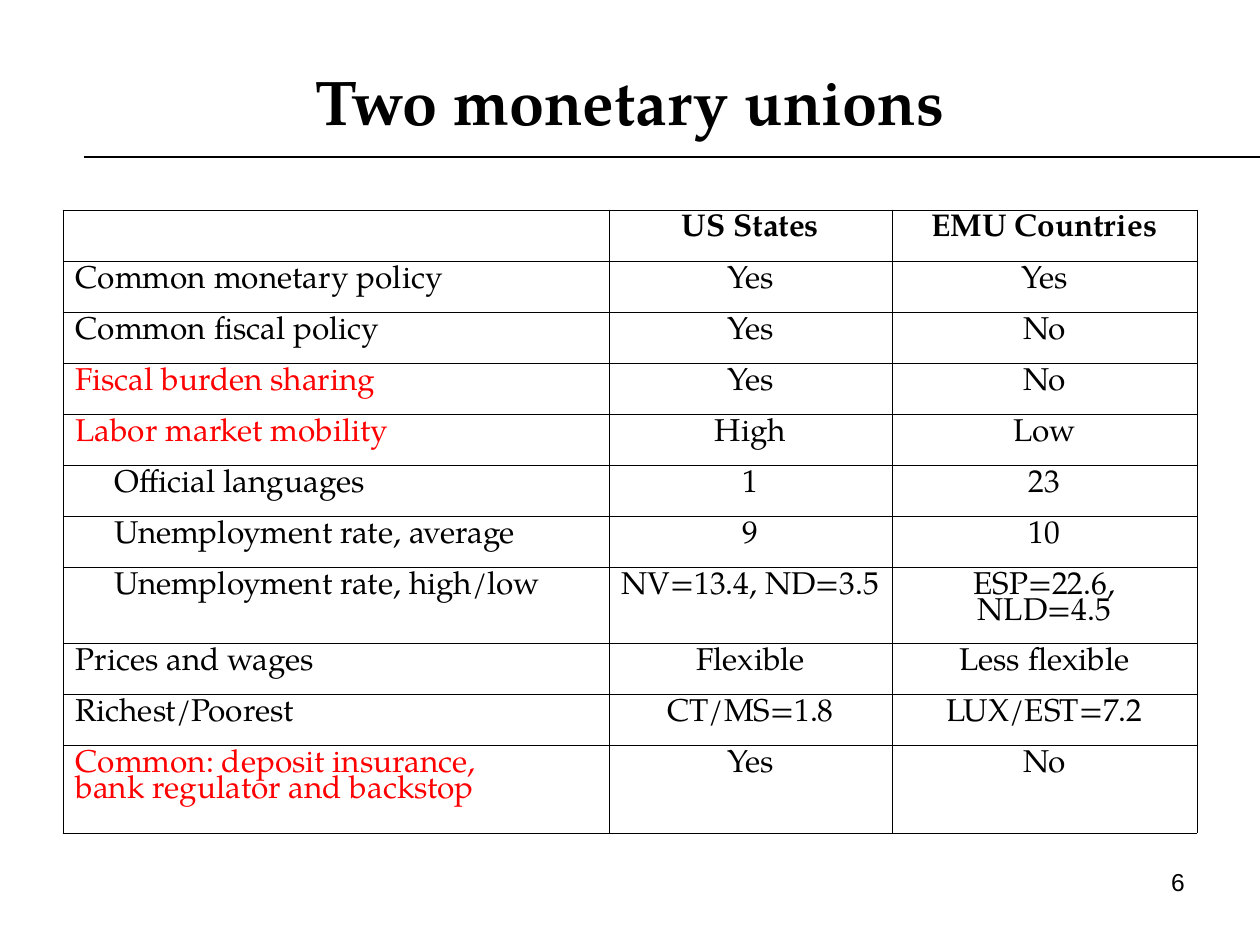
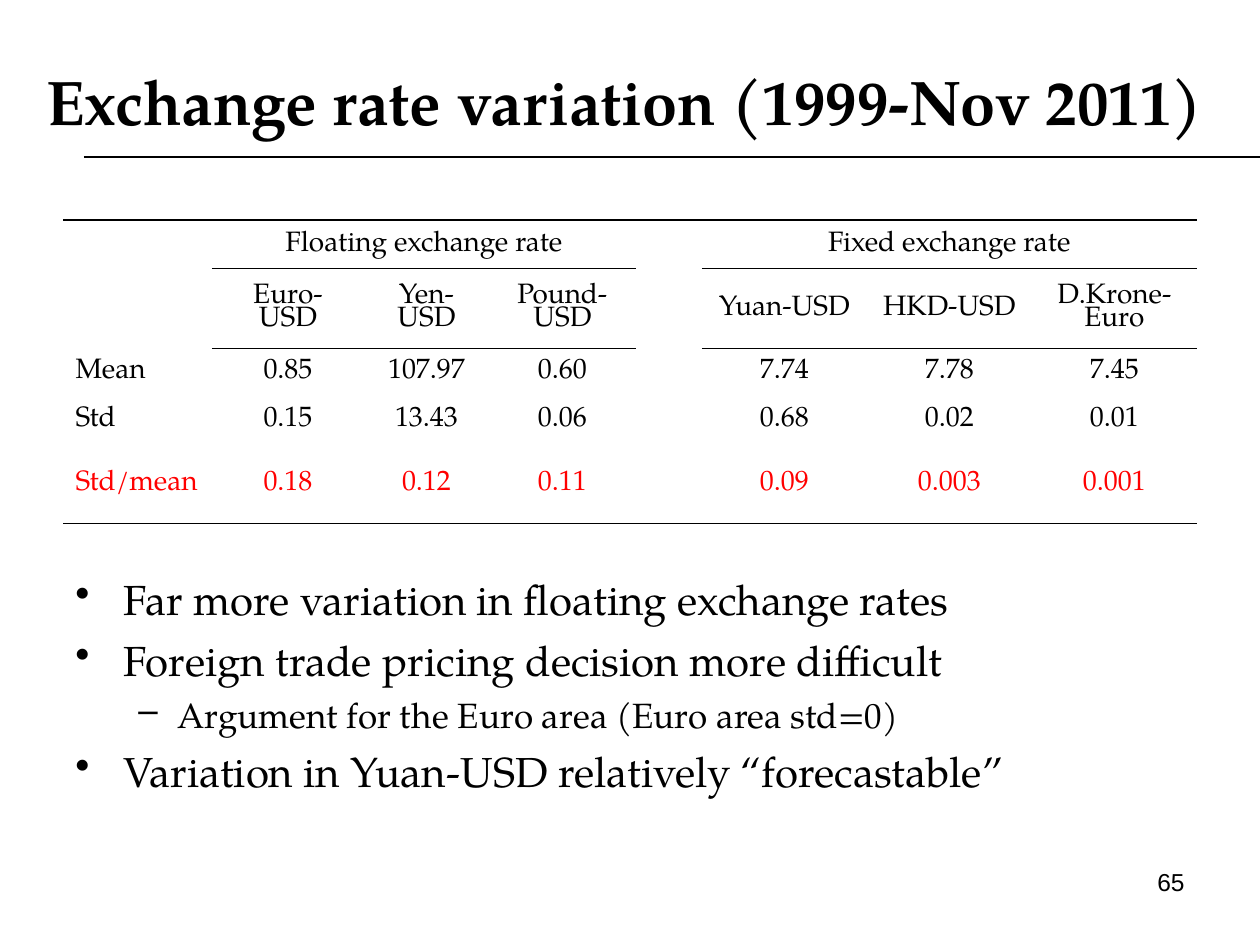
from lxml.etree import SubElement
from pptx import Presentation
from pptx.dml.color import RGBColor
from pptx.enum.shapes import MSO_CONNECTOR
from pptx.enum.text import MSO_ANCHOR, PP_ALIGN
from pptx.oxml.ns import qn
from pptx.util import Pt

PX = 7257.14  # EMU in one px, 126 px to the inch
SERIF, SANS = "TeX Gyre Pagella", "Arial"
COLORS = {"ink": "000000", "key": "FF0000"}
NO_STYLE = "{2D5ABB26-0587-4C30-8999-92F81FD0307C}"
THIN, RULE = 0.45, 0.75


def style_text(tf, text, size, color="ink", font=SERIF, bold=False,
               align=PP_ALIGN.CENTER, spacing=None):
    tf.word_wrap = True
    tf.text = text
    for p in tf.paragraphs:
        p.alignment = align
        p.line_spacing = spacing
        for r in p.runs:
            r.font.size, r.font.name, r.font.bold = Pt(size), font, bold
            r.font.color.rgb = RGBColor.from_string(COLORS[color])


def add_grid(s, top, widths, heights, rows, key_cells, size, anchor, borders):
    """Table whose borders(row, col) gives the line width of each ruled side."""
    frame = s.shapes.add_table(len(heights), len(widths), round(63 * PX), round(top * PX),
                               round(sum(widths) * PX), round(sum(heights) * PX))
    table = frame.table
    table.first_row = table.horz_banding = False
    table._tbl.tblPr.find(qn("a:tableStyleId")).text = NO_STYLE
    for column, width in zip(table.columns, widths):
        column.width = round(width * PX)
    for row, height in zip(table.rows, heights):
        row.height = round(height * PX)
    for i, row in enumerate(rows):
        for j, text in enumerate(row):
            cell = table.cell(i, j)
            cell.vertical_anchor = anchor
            if text:
                style_text(cell.text_frame, text, size, spacing=0.83,
                           color="key" if (i, j) in key_cells else "ink",
                           align=PP_ALIGN.CENTER if j else PP_ALIGN.LEFT)
            else:
                cell.margin_top = cell.margin_bottom = 0
            sides = borders(i, j)
            for side in "LRTB":
                ln = SubElement(cell._tc.get_or_add_tcPr(), qn(f"a:ln{side}"))
                if side in sides:
                    ln.set("w", str(Pt(sides[side])))
                    fill = SubElement(ln, qn("a:solidFill"))
                    SubElement(fill, qn("a:srgbClr")).set("val", COLORS["ink"])
                else:
                    SubElement(ln, qn("a:noFill"))
            cell.fill.background()
    return table


prs = Presentation()
prs.slide_width, prs.slide_height = round(1260 * PX), round(945 * PX)

# Shared parts: rule, title and page number
pages = [("Two monetary unions", 63, 1134, "6"),
         ("Exchange rate variation (1999-Nov 2011)", 21, 1207, "65")]
for title, left, width, number in pages:
    s = prs.slides.add_slide(prs.slide_layouts[6])
    rule = s.shapes.add_connector(MSO_CONNECTOR.STRAIGHT, round(84 * PX), round(157 * PX),
                                  round(1260 * PX), round(157 * PX))
    rule.line.width = Pt(RULE)
    rule.line.color.rgb = RGBColor.from_string(COLORS["ink"])
    SubElement(rule._element.spPr, qn("a:effectLst"))
    sp = s.shapes.add_textbox(round(left * PX), round(42 * PX), round(width * PX), round(116 * PX))
    sp.text_frame.vertical_anchor = MSO_ANCHOR.MIDDLE
    style_text(sp.text_frame, title, 36, bold=True)
    sp = s.shapes.add_textbox(round(903 * PX), round(861 * PX), round(294 * PX), round(65 * PX))
    style_text(sp.text_frame, number, 14, font=SANS, align=PP_ALIGN.RIGHT)
unions, rates = prs.slides

# Slide 1: comparison of the two unions
union_rows = [
    ("", "US States", "EMU Countries"),
    ("Common monetary policy", "Yes", "Yes"),
    ("Common fiscal policy", "Yes", "No"),
    ("Fiscal burden sharing", "Yes", "No"),
    ("Labor market mobility", "High", "Low"),
    ("Official languages", "1", "23"),
    ("Unemployment rate, average", "9", "10"),
    ("Unemployment rate, high/low", "NV=13.4, ND=3.5", "ESP=22.6, NLD=4.5"),
    ("Prices and wages", "Flexible", "Less flexible"),
    ("Richest/Poorest", "CT/MS=1.8", "LUX/EST=7.2"),
    ("Common: deposit insurance,\nbank regulator and backstop", "Yes", "No"),
]
table = add_grid(unions, 210, [546, 283, 305], [51] * 7 + [76, 51, 51, 88], union_rows,
                 {(3, 0), (4, 0), (10, 0)}, 18, MSO_ANCHOR.TOP,
                 lambda i, j: dict.fromkeys("LRTB", THIN))
for j in (1, 2):
    table.cell(0, j).text_frame.paragraphs[0].runs[0].font.bold = True
for i in (5, 6, 7):  # details of labor mobility
    table.cell(i, 0).margin_left = round(52 * PX)

# Slide 2: exchange rate statistics
rate_rows = [
    ("", "Floating exchange rate", "", "", "", "Fixed exchange rate", "", ""),
    ("", "Euro-USD", "Yen-USD", "Pound- USD", "", "Yuan-USD", "HKD-USD", "D.Krone-Euro"),
    ("Mean", "0.85", "107.97", "0.60", "", "7.74", "7.78", "7.45"),
    ("Std", "0.15", "13.43", "0.06", "", "0.68", "0.02", "0.01"),
    ("Std/mean", "0.18", "0.12", "0.11", "", "0.09", "0.003", "0.001"),
]


def rate_borders(i, j):
    sides = {}
    if j not in (0, 4):  # the label and gap columns have no inner rules
        if i in (1, 2):
            sides["T"] = THIN
        if i in (0, 1):
            sides["B"] = THIN
    if i == 0:
        sides["T"] = RULE
    if i == 4:
        sides["B"] = RULE
    return sides


table = add_grid(rates, 220, [149, 152, 125, 147, 66, 165, 165, 165], [48, 80, 48, 47, 81],
                 rate_rows, {(4, j) for j in range(8)}, 16, MSO_ANCHOR.MIDDLE, rate_borders)
for j in (1, 5):
    table.cell(0, j).merge(table.cell(0, j + 2))

# Slide 2: conclusions, as (text, size, bullet, indent, hanging, space before)
points = [
    ("Far more variation in floating exchange rates", 24, "•", 48, 48, 0),
    ("Foreign trade pricing decision more difficult", 24, "•", 48, 48, 6),
    ("Argument for the Euro area (Euro area std=0)", 20, "–", 102, 39, 5),
    ("Variation in Yuan-USD relatively “forecastable”", 24, "•", 48, 48, 6),
]
sp = rates.shapes.add_textbox(round(63 * PX), round(567 * PX), round(1134 * PX), round(277 * PX))
tf = sp.text_frame
style_text(tf, "\n".join(point[0] for point in points), 24, align=PP_ALIGN.LEFT)
for p, (text, size, bullet, indent, hanging, before) in zip(tf.paragraphs, points):
    p.space_before = Pt(before)
    p.runs[0].font.size = Pt(size)
    pPr = p._p.get_or_add_pPr()
    pPr.set("marL", str(round(indent * PX)))
    pPr.set("indent", str(round(-hanging * PX)))
    SubElement(pPr, qn("a:buChar")).set("char", bullet)

prs.save("out.pptx")
